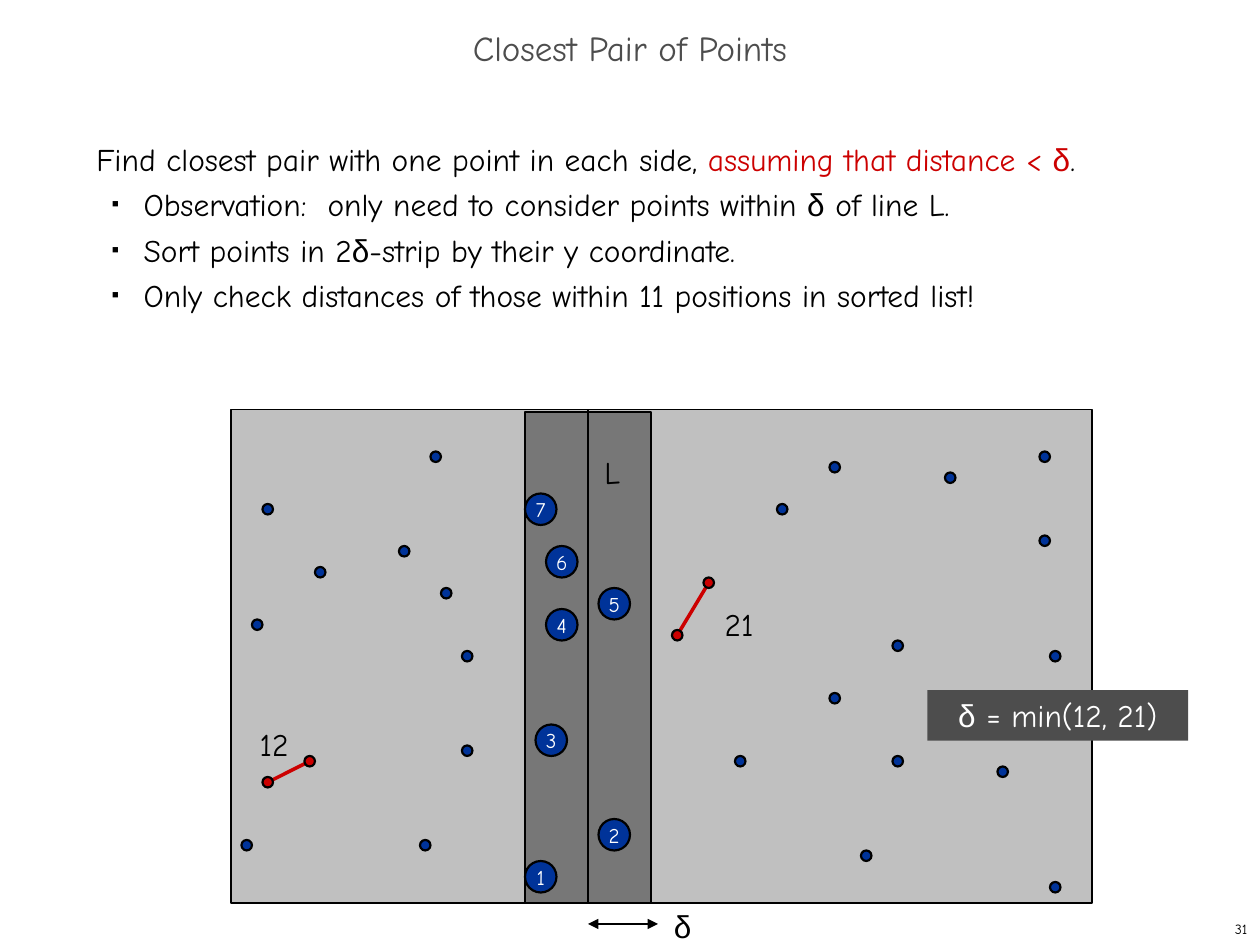
import pptx
import pptx.util
import pptx.dml.color
import pptx.enum.shapes
import pptx.enum.text
import pptx.oxml.ns
from lxml import etree

Pt = pptx.util.Pt
SHAPE = pptx.enum.shapes.MSO_SHAPE
ALIGN = pptx.enum.text.PP_ALIGN
ANCHOR = pptx.enum.text.MSO_ANCHOR
qn = pptx.oxml.ns.qn

COMIC, GREEK = "Comic Neue", "Arial"
BLACK, WHITE, RED, BLUE, CHARCOAL = "000000", "FFFFFF", "CC0000", "003399", "4D4D4D"
UNIT = 6
DOT, NUMBERED = 1, 3

title = [("Closest Pair of Points", CHARCOAL)]
statement = [
    ("Find closest pair with one point in each side, ", BLACK),
    ("assuming that distance < ", RED), ("δ", RED), (".", BLACK),
]
steps = [
    [("Observation:  only need to consider points within ", BLACK), ("δ", BLACK), (" of line L.", BLACK)],
    [("Sort points in 2", BLACK), ("δ", BLACK), ("-strip by their y coordinate.", BLACK)],
    [("Only check distances of those within 11 positions in sorted list!", BLACK)],
]
plane = (132, 234, 492, 282, "C0C0C0")
strip = (300, 235.5, 72, 280.5, "777777")
points = [
    (30, 54), (44, 71), (25, 48), (38, 52), (41, 43), (42, 56), (74, 48), (100, 84),
    (79, 44), (85, 61), (24, 59), (44, 62), (23, 80), (40, 80), (99, 51), (90, 45),
    (70, 72), (99, 43), (79, 66), (82, 81), (100, 62), (85, 72), (95, 73),
]
sorted_points = [(50, 82), (57, 78), (51, 69), (52, 58), (57, 56), (52, 52), (50, 47)]
closest_pairs = [
    ("12", (136.8, 411), (25, 74), (29, 72)),
    ("21", (402.5, 342), (67, 55), (64, 60)),
]


def color(value):
    return pptx.dml.color.RGBColor.from_string(value)


def add_runs(paragraph, runs, size):
    for words, ink in runs:
        run = paragraph.add_run()
        run.text = words
        run.font.size = Pt(size)
        run.font.name = GREEK if words == "δ" else COMIC
        run.font.color.rgb = color(ink)


def set_text(holder, runs, size=18, align=ALIGN.CENTER, anchor=ANCHOR.TOP, wrap=True):
    frame = holder.text_frame
    frame.word_wrap = wrap
    frame.vertical_anchor = anchor
    paragraph = frame.paragraphs[0]
    paragraph.alignment = align
    add_runs(paragraph, runs, size)
    return frame


def add_label(parent, left, top, width, height, runs, **style):
    label = parent.add_textbox(Pt(left), Pt(top), Pt(width), Pt(height))
    return set_text(label, runs, **style)


def add_filled(parent, kind, left, top, width, height, fill, line=None):
    shape = parent.add_shape(kind, Pt(left), Pt(top), Pt(width), Pt(height))
    shape.shadow.inherit = False
    shape.fill.solid()
    shape.fill.fore_color.rgb = color(fill)
    if line:
        shape.line.color.rgb = color(BLACK)
        shape.line.width = Pt(line)
    else:
        shape.line.fill.background()
    return shape


def add_point(parent, cell, fill, cells=DOT):
    x, y = cell
    side = cells * UNIT
    return add_filled(parent, SHAPE.OVAL, x * UNIT, y * UNIT, side, side, fill, 1.25)


def add_line(parent, start, end, ink, width):
    line = parent.add_connector(pptx.enum.shapes.MSO_CONNECTOR.STRAIGHT, *map(Pt, start + end))
    line.line.color.rgb = color(ink)
    line.line.width = Pt(width)
    etree.SubElement(line._element.spPr, qn("a:effectLst"))
    return line


def center(cell):
    return tuple((position + DOT / 2) * UNIT for position in cell)


def set_bullet(paragraph):
    properties = paragraph._p.get_or_add_pPr()
    properties.set("marL", str(Pt(27)))
    properties.set("indent", str(Pt(-18)))
    bullet_color = etree.SubElement(properties, qn("a:buClr"))
    etree.SubElement(bullet_color, qn("a:srgbClr"), val=BLACK)
    etree.SubElement(properties, qn("a:buSzPct"), val="35000")
    etree.SubElement(properties, qn("a:buFont"), typeface=GREEK)
    etree.SubElement(properties, qn("a:buChar"), char="■")


def main():
    deck = pptx.Presentation()
    deck.slide_width, deck.slide_height = Pt(720), Pt(540)
    shapes = deck.slides.add_slide(deck.slide_layouts[6]).shapes

    for left, top, width, height, fill in (plane, strip):
        add_filled(shapes, SHAPE.RECTANGLE, left, top, width, height, fill, 1)
    for cell in points:
        add_point(shapes, cell, BLUE)
    add_line(shapes, (336, 234), (336, 516), BLACK, 1)

    for distance, corner, *ends in closest_pairs:
        pair = shapes.add_group_shape().shapes
        add_line(pair, center(ends[0]), center(ends[1]), RED, 2)
        for cell in ends:
            add_point(pair, cell, RED)
        add_label(pair, *corner, 39.6, 28.8, [(distance, BLACK)])

    for number, cell in enumerate(sorted_points, 1):
        circle = add_point(shapes, cell, BLUE, NUMBERED)
        set_text(circle, [(str(number), WHITE)], size=12, anchor=ANCHOR.MIDDLE, wrap=False)

    delta_span = add_line(shapes, (336, 528), (376, 528), BLACK, 0.75)
    span_outline = delta_span.line._get_or_add_ln()
    for end in ("a:headEnd", "a:tailEnd"):
        etree.SubElement(span_outline, qn(end), type="triangle")
    add_label(shapes, 378, 515, 24, 25, [("δ", BLACK)]).margin_bottom = 0

    heading = add_label(shapes, 0, 12, 720, 36, title, size=20, anchor=ANCHOR.MIDDLE)
    heading.paragraphs[0].line_spacing = 0.7

    body = add_label(shapes, 48, 72, 618, 426, statement, align=ALIGN.LEFT)
    body.paragraphs[0].line_spacing = Pt(26)
    for step in steps:
        paragraph = body.add_paragraph()
        paragraph.level = 1
        paragraph.line_spacing = Pt(26)
        set_bullet(paragraph)
        add_runs(paragraph, step, 18)

    add_label(shapes, 330, 255.6, 39.6, 28.8, [("L", BLACK)])
    minimum = add_filled(shapes, SHAPE.RECTANGLE, 530, 394.4, 149, 28.8, CHARCOAL)
    set_text(minimum, [("δ", WHITE), (" = min(12, 21)", WHITE)])
    add_label(shapes, 570, 522, 150, 18, [("31", BLACK)], size=8, align=ALIGN.RIGHT, anchor=ANCHOR.MIDDLE)

    deck.save("out.pptx")


if __name__ == "__main__":
    main()
